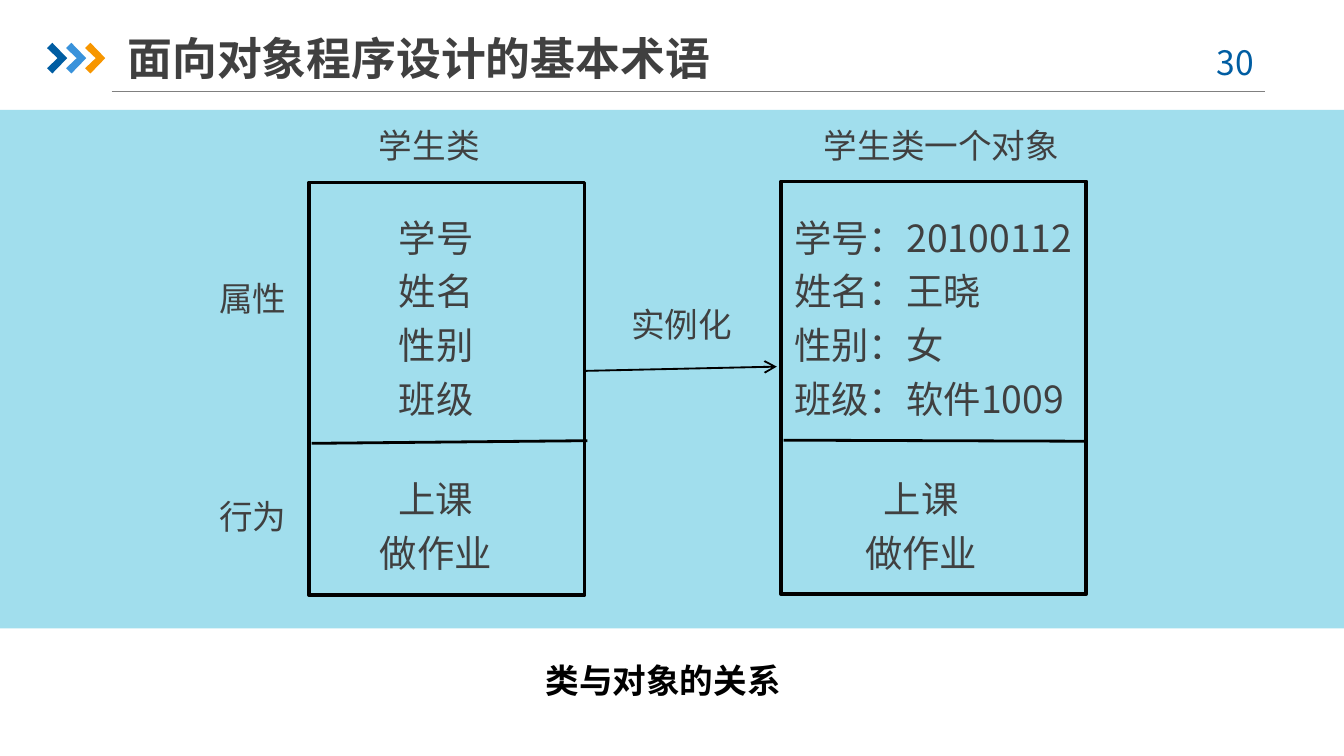
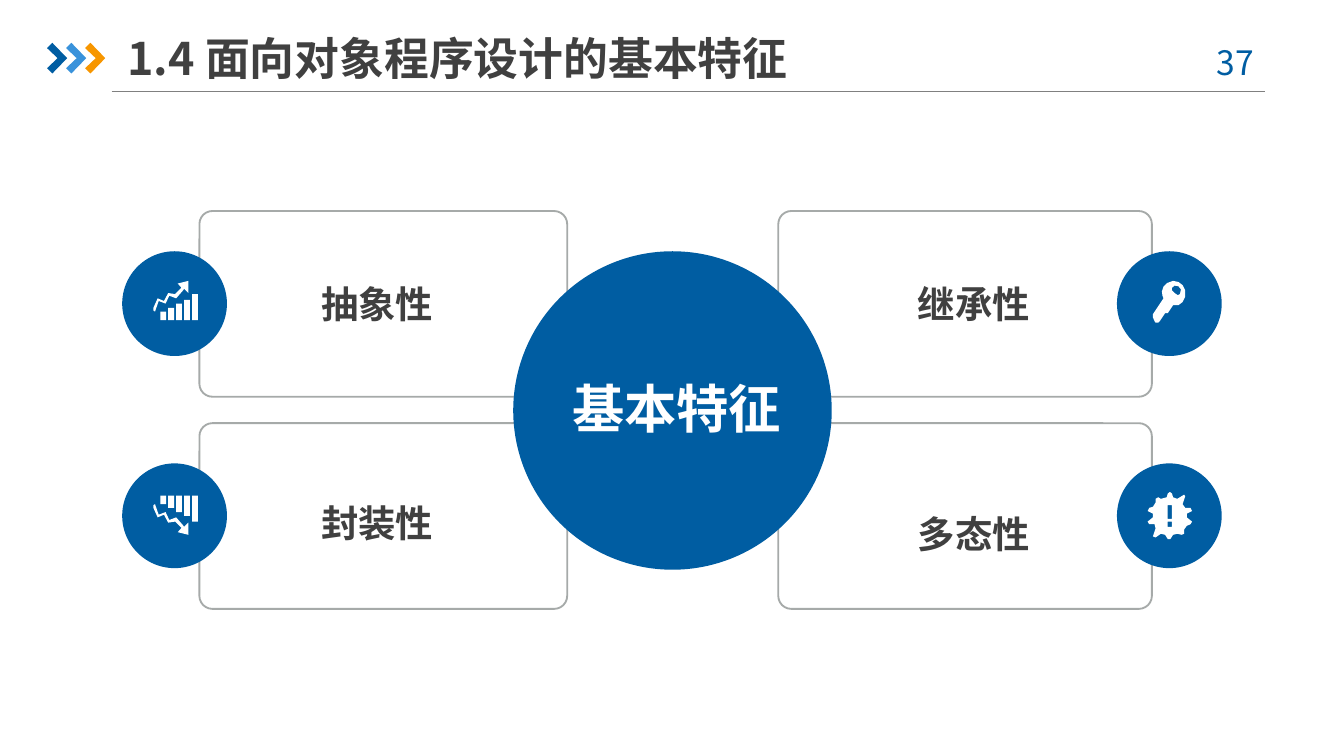
from pptx import Presentation
from pptx.dml.color import RGBColor
from pptx.enum.shapes import MSO_CONNECTOR as Connector, MSO_SHAPE as Preset
from pptx.enum.text import MSO_ANCHOR as Anchor, MSO_AUTO_SIZE as AutoSize, PP_ALIGN as Align
from pptx.oxml.ns import qn
from pptx.util import Cm, Pt
from lxml.etree import SubElement

FONT = "Noto Sans CJK SC"
BLUE, SKY, ORANGE = "005DA2", "3992DB", "F79600"
DARK, GRAY, BLACK, WHITE = "404040", "808080", "000000", "FFFFFF"
BAND, CARD_EDGE = "75CFE5", "A6AAA9"
UNIT = Cm(0.01)


def paint(shape, fill=None, line=None, width=1):
    if line:
        shape.line.color.rgb = RGBColor.from_string(line)
        shape.line.width = Pt(width)
    else:
        shape.line.fill.background()
    if not hasattr(shape, "fill"):
        SubElement(shape._element.spPr, qn("a:effectLst"))
        return
    shape.shadow.inherit = False
    if fill:
        shape.fill.solid()
        shape.fill.fore_color.rgb = RGBColor.from_string(fill)
    else:
        shape.fill.background()


def write(shape, text, size=18, color=DARK, bold=False, font=FONT, align=Align.LEFT,
          spacing=1.0, anchor=Anchor.TOP, margins=(0.25, 0.13), wrap=False):
    frame = shape.text_frame
    frame.auto_size = AutoSize.NONE
    frame.word_wrap = wrap
    frame.vertical_anchor = anchor
    frame.margin_left = frame.margin_right = Cm(margins[0])
    frame.margin_top = frame.margin_bottom = Cm(margins[1])
    for index, words in enumerate(text.split("\n")):
        paragraph = frame.add_paragraph() if index else frame.paragraphs[0]
        paragraph.alignment = align
        paragraph.line_spacing = spacing
        run = paragraph.add_run()
        run.text = words
        run.font.size = Pt(size)
        run.font.bold = bold
        run.font.name = font
        run.font.color.rgb = RGBColor.from_string(color)
        SubElement(run._r.get_or_add_rPr(), qn("a:ea"), typeface=FONT)


presentation = Presentation()
presentation.slide_width = Cm(25.4)
presentation.slide_height = Cm(14.29)

chevron = [(0, 10), (10, 0), (38, 29), (10, 58), (0, 48), (20, 29)]
slides = []
for title, number in [("面向对象程序设计的基本术语", "30"),
                      ("1.4 面向对象程序设计的基本特征", "37")]:
    slide = presentation.slides.add_slide(presentation.slide_layouts[5])
    slides.append(slide)
    rule = slide.shapes.add_connector(Connector.STRAIGHT, Cm(2.11), Cm(1.73), Cm(23.9), Cm(1.73))
    paint(rule, line=GRAY, width=0.75)
    for index, color in enumerate([BLUE, SKY, ORANGE]):
        builder = slide.shapes.build_freeform(*chevron[0], scale=UNIT)
        builder.add_line_segments(chevron[1:])
        paint(builder.convert_to_shape(Cm(0.89 + 0.36 * index), Cm(0.81)), fill=color)
    page = slide.shapes.add_textbox(Cm(22.42), Cm(0.66), Cm(1.85), Cm(1.02))
    write(page, number, color=BLUE, align=Align.CENTER, wrap=True)
    heading = slide.shapes.title
    heading.left, heading.top, heading.width, heading.height = Cm(2.41), Cm(0.56), Cm(12.88), Cm(1.07)
    write(heading, title, size=24, bold=True, anchor=Anchor.MIDDLE, margins=(0, 0.13), wrap=True)

terms, features = slides

band = terms.shapes.add_shape(Preset.RECTANGLE, Cm(-0.02), Cm(2.08), Cm(25.44), Cm(9.8))
paint(band, fill=BAND)
band_color = band._element.spPr.find(qn("a:solidFill")).find(qn("a:srgbClr"))
SubElement(band_color, qn("a:alpha"), val="68000")

for left, top, width in [(5.84, 3.45, 5.21), (14.76, 3.43, 5.77)]:
    box = terms.shapes.add_shape(Preset.RECTANGLE, Cm(left), Cm(top), Cm(width), Cm(7.8))
    paint(box, line=BLACK, width=2)

for start_x, start_y, end_x, end_y, width in [
    (5.89, 8.38, 11.1, 8.33, 1.5),
    (14.81, 8.32, 20.5, 8.34, 1.5),
    (11.07, 7.01, 14.68, 6.93, 1),
]:
    link = terms.shapes.add_connector(Connector.STRAIGHT, Cm(start_x), Cm(start_y), Cm(end_x), Cm(end_y))
    paint(link, line=BLACK, width=width)
SubElement(link.line._get_or_add_ln(), qn("a:tailEnd"), type="arrow")

for text, left, top, width, height, align in [
    ("学号\n姓名\n性别\n班级", 7.29, 3.76, 1.93, 4.37, Align.LEFT),
    ("上课\n做作业", 6.93, 8.71, 2.62, 2.31, Align.CENTER),
    ("学号：20100112\n姓名：王晓\n性别：女\n班级：软件1009", 14.76, 3.76, 5.94, 4.37, Align.LEFT),
    ("上课\n做作业", 16.1, 8.71, 2.62, 2.31, Align.CENTER),
]:
    members = terms.shapes.add_textbox(Cm(left), Cm(top), Cm(width), Cm(height))
    write(members, text, size=20, align=align, spacing=1.2)

for text, left, top, width in [
    ("学生类", 6.91, 2.24, 2.41),
    ("学生类一个对象", 15.32, 2.24, 4.95),
    ("属性", 3.89, 5.13, 1.78),
    ("行为", 3.89, 9.25, 1.78),
    ("实例化", 11.68, 5.61, 2.41),
]:
    write(terms.shapes.add_textbox(Cm(left), Cm(top), Cm(width), Cm(1.02)), text)

caption = terms.shapes.add_textbox(Cm(10.06), Cm(12.34), Cm(5.03), Cm(1.02))
write(caption, "类与对象的关系", color=BLACK, bold=True, font="Arial")

for left, width in [(14.71, 7.06), (3.77, 6.95)]:
    for top in (3.99, 8):
        card = features.shapes.add_shape(Preset.ROUNDED_RECTANGLE, Cm(left), Cm(top), Cm(width), Cm(3.51))
        card.adjustments[0] = 0.07
        paint(card, line=CARD_EDGE)

for left, top, diameter in [(9.7, 4.75, 6.02), (2.31, 4.75, 1.98), (2.31, 8.76, 1.98),
                            (21.11, 4.75, 1.98), (21.11, 8.76, 1.98)]:
    circle = features.shapes.add_shape(Preset.OVAL, Cm(left), Cm(top), Cm(diameter), Cm(diameter))
    paint(circle, fill=BLUE)

trend = [(30, 28), (43, 33), (56, 18), (58, 15), (66, 23), (66, 0), (46, 5), (53, 13), (41, 25),
         (28, 23), (20, 38), (8, 33), (0, 51), (0, 56), (3, 58), (10, 38), (23, 43)]
rising = [trend]
for index, top in enumerate([58, 51, 43, 36, 25]):
    left = 13 + 15 * index
    rising.append([(left, top), (left + 11, top), (left + 11, 74), (left, 74)])
falling = [[(x, 74 - y) for x, y in outline] for outline in rising]

key = [
    [(61, 18), (56, 8), (48, 2), (38, 0), (27, 4), (20, 11), (17, 20), (18, 28), (20, 33), (0, 63),
     (0, 69), (3, 76), (5, 79), (10, 79), (13, 76), (23, 61), (28, 61), (38, 46), (48, 46),
     (56, 40), (61, 30)],
    [(51, 25), (47, 27), (41, 23), (36, 18), (36, 13), (41, 9), (48, 10), (53, 16)],
]
badge = [
    [(84, 56), (74, 48), (74, 41), (84, 36), (81, 30), (71, 30), (66, 23), (71, 8), (69, 5), (56, 13),
     (48, 10), (46, 3), (42, 0), (38, 3), (36, 10), (25, 13), (20, 10), (15, 13), (15, 20), (10, 28),
     (3, 30), (0, 36), (10, 41), (10, 48), (0, 56), (3, 61), (13, 61), (15, 69), (10, 84), (15, 86),
     (25, 79), (33, 81), (38, 89), (43, 89), (48, 81), (56, 79), (64, 81), (69, 79), (69, 71),
     (74, 64), (81, 61)],
    [(38, 25), (46, 25), (46, 51), (38, 51)],
    [(38, 56), (46, 56), (46, 66), (38, 66)],
]

for icon, left, top in [(rising, 2.9, 5.31), (falling, 2.9, 9.37), (key, 21.79, 5.31), (badge, 21.69, 9.3)]:
    builder = features.shapes.build_freeform(*icon[0][0], scale=UNIT)
    builder.add_line_segments(icon[0][1:])
    for outline in icon[1:]:
        builder.move_to(*outline[0])
        builder.add_line_segments(outline[1:])
    paint(builder.convert_to_shape(Cm(left), Cm(top)), fill=WHITE)

core = features.shapes.add_textbox(Cm(10.72), Cm(7.04), Cm(4.14), Cm(1.32))
write(core, "基本特征", size=28, color=WHITE, bold=True, align=Align.CENTER,
      anchor=Anchor.MIDDLE, margins=(0, 0))

for text, left, top in [("抽象性", 6.07, 5.23), ("封装性", 6.07, 9.37),
                        ("多态性", 17.35, 9.58), ("继承性", 17.35, 5.23)]:
    label = features.shapes.add_textbox(Cm(left), Cm(top), Cm(2.13), Cm(0.84))
    write(label, text, size=20, bold=True, spacing=1.2, anchor=Anchor.MIDDLE, margins=(0, 0))

presentation.save("out.pptx")
